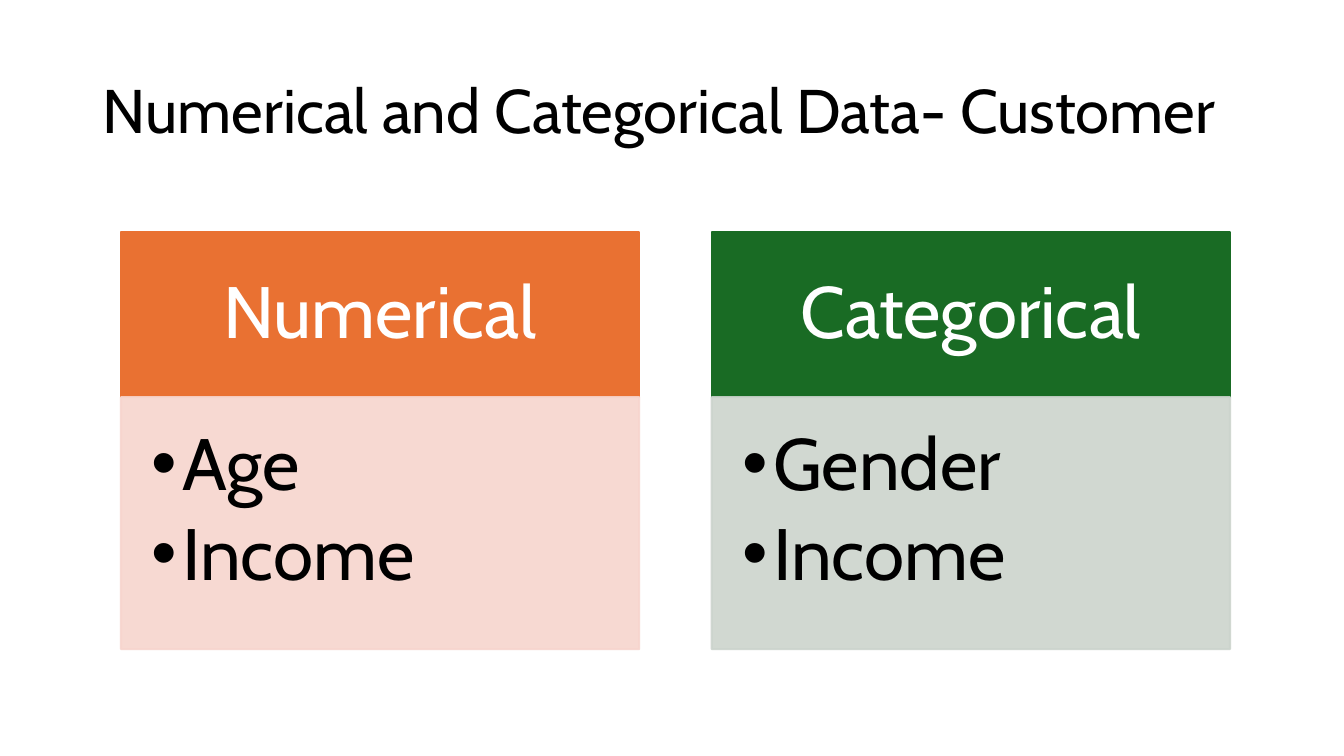
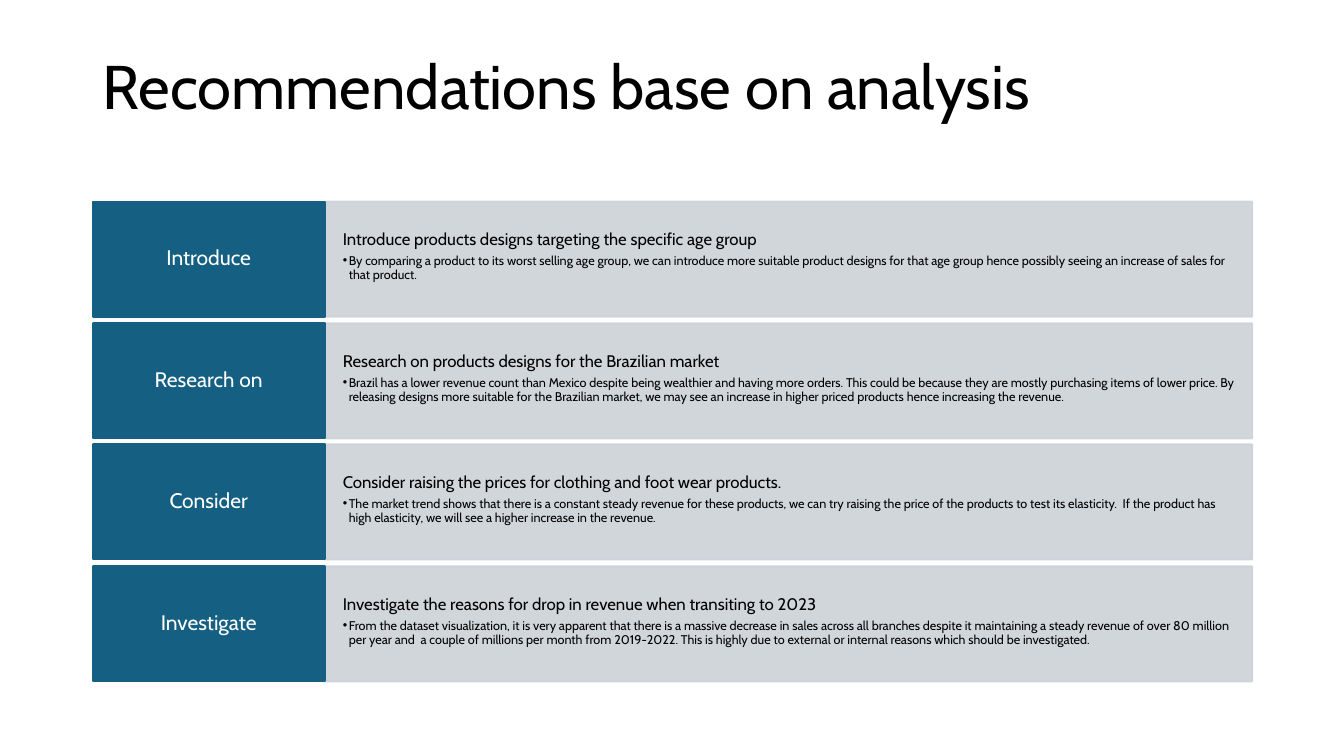
from lxml import etree
from pptx import Presentation
from pptx import util as u
from pptx.dml.color import RGBColor
from pptx.enum import shapes, text
from pptx.oxml import ns

PX = 9144
FONT = "Cabin"
BLACK = RGBColor(0x00, 0x00, 0x00)
WHITE = RGBColor(0xFF, 0xFF, 0xFF)
ORANGE = RGBColor(0xE9, 0x71, 0x32)
PINK = RGBColor(0xF7, 0xD5, 0xCE)
GREEN = RGBColor(0x19, 0x6B, 0x24)
SAGE = RGBColor(0xCC, 0xD4, 0xCD)
TEAL = RGBColor(0x15, 0x60, 0x82)
GREY = RGBColor(0xCC, 0xD2, 0xD8)


def px(value):
    return u.Emu(value * PX)


class Deck:
    def __init__(self):
        self.presentation = Presentation()
        self.presentation.slide_width = u.Inches(13.33)
        self.presentation.slide_height = u.Inches(7.5)
        self.slide = None

    def add_slide(self, title, title_height):
        layout = self.presentation.slide_layouts[5]
        self.slide = self.presentation.slides.add_slide(layout)
        shape = self.slide.shapes.title
        shape.left, shape.top = px(92), px(40)
        shape.width, shape.height = px(1150), px(title_height)
        frame = shape.text_frame
        frame.auto_size = text.MSO_AUTO_SIZE.NONE
        frame.word_wrap = True
        frame.vertical_anchor = text.MSO_ANCHOR.MIDDLE
        self.add_words(frame.paragraphs[0], title, 44, BLACK)

    def add_words(self, paragraph, words, size, color, after=0):
        paragraph.alignment = text.PP_ALIGN.LEFT
        paragraph.line_spacing = 0.9
        paragraph.space_after = u.Pt(after)
        run = paragraph.add_run()
        run.text = words
        run.font.name = FONT
        run.font.size = u.Pt(size)
        run.font.color.rgb = color

    def bullet(self, paragraph, words, size, indent, after):
        self.add_words(paragraph, words, size, BLACK, after)
        paragraph.level = 1
        properties = paragraph._p.get_or_add_pPr()
        properties.set("marL", str(px(indent)))
        properties.set("indent", str(-px(indent)))
        etree.SubElement(properties, ns.qn("a:buFont")).set("typeface", "Arial")
        etree.SubElement(properties, ns.qn("a:buChar")).set("char", "•")

    def rectangle(self, box, color, insets, opacity=100):
        shape = self.slide.shapes.add_shape(
            shapes.MSO_SHAPE.RECTANGLE, *map(px, box))
        shape.shadow.inherit = False
        shape.fill.solid()
        shape.fill.fore_color.rgb = color
        shape.line.color.rgb = color
        shape.line.width = u.Pt(1.5)
        if opacity < 100:
            for node in shape._element.spPr.iter(ns.qn("a:srgbClr")):
                alpha = etree.SubElement(node, ns.qn("a:alpha"))
                alpha.set("val", str(opacity * 1000))
        frame = shape.text_frame
        frame.word_wrap = True
        frame.vertical_anchor = text.MSO_ANCHOR.TOP
        (frame.margin_left, frame.margin_top,
         frame.margin_right, frame.margin_bottom) = map(px, insets)
        return frame

    def label(self, box, color, words, size, insets):
        frame = self.rectangle(box, color, insets)
        frame.vertical_anchor = text.MSO_ANCHOR.MIDDLE
        paragraph = frame.paragraphs[0]
        self.add_words(paragraph, words, size, WHITE)
        paragraph.alignment = text.PP_ALIGN.CENTER

    def column(self, left, header, items, header_color, body_color):
        top, width, header_height, body_height = 230, 514, 164, 250
        self.label((left, top, width, header_height), header_color,
                   header, 52, (40, 23, 40, 23))
        frame = self.rectangle((left, top + header_height, width, body_height),
                               body_color, (30, 30, 40, 46), 90)
        for index, item in enumerate(items):
            paragraph = frame.add_paragraph() if index else frame.paragraphs[0]
            self.bullet(paragraph, item, 52, 31, 8)

    def row(self, top, name, heading, detail):
        left, label_width, body_width, height = 92, 230, 920, 114
        frame = self.rectangle((left + label_width, top, body_width, height),
                               GREY, (18, 29, 18, 29), 90)
        self.add_words(frame.paragraphs[0], heading, 12, BLACK, 4)
        self.bullet(frame.add_paragraph(), detail, 9, 6, 1)
        self.label((left, top, label_width, height), TEAL,
                   name, 15, (12, 11, 12, 11))


COLUMNS = [
    ("Numerical", ["Age", "Income"], ORANGE, PINK),
    ("Categorical", ["Gender", "Income"], GREEN, SAGE),
]

RECOMMENDATIONS = [
    ("Introduce",
     "Introduce products designs targeting the specific age group",
     "By comparing a product to its worst selling age group, we can introduce "
     "more suitable product designs for that age group hence possibly seeing "
     "an increase of sales for that product."),
    ("Research on",
     "Research on products designs for the Brazilian market",
     "Brazil has a lower revenue count than Mexico despite being wealthier and "
     "having more orders. This could be because they are mostly purchasing "
     "items of lower price. By releasing designs more suitable for the "
     "Brazilian market, we may see an increase in higher priced products "
     "hence increasing the revenue."),
    ("Consider",
     "Consider raising the prices for clothing and foot wear products.",
     "The market trend shows that there is a constant steady revenue for these "
     "products, we can try raising the price of the products to test its "
     "elasticity.  If the product has high elasticity, we will see a higher "
     "increase in the revenue."),
    ("Investigate",
     "Investigate the reasons for drop in revenue when transiting to 2023",
     "From the dataset visualization, it is very apparent that there is a "
     "massive decrease in sales across all branches despite it maintaining a "
     "steady revenue of over 80 million per year and  a couple of millions per "
     "month from 2019-2022. This is highly due to external or internal reasons "
     "which should be investigated."),
]


def main():
    deck = Deck()
    deck.add_slide("Numerical and Categorical Data- Customer", 145)
    for index, column in enumerate(COLUMNS):
        deck.column(120 + index * 586, *column)
    deck.add_slide("Recommendations base on analysis", 98)
    for index, recommendation in enumerate(RECOMMENDATIONS):
        deck.row(200 + round(index * 120.6), *recommendation)
    deck.presentation.save("out.pptx")


if __name__ == "__main__":
    main()
